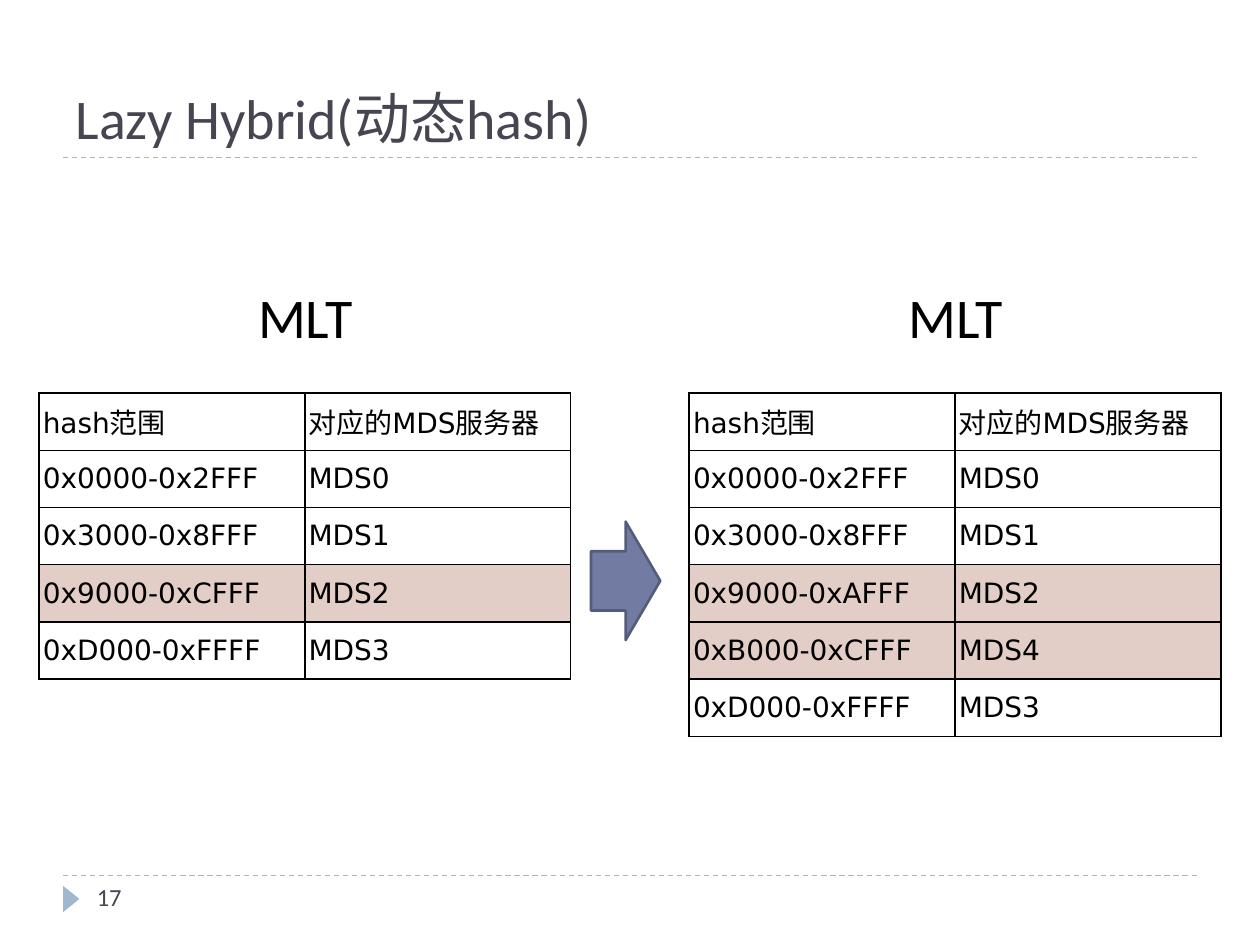
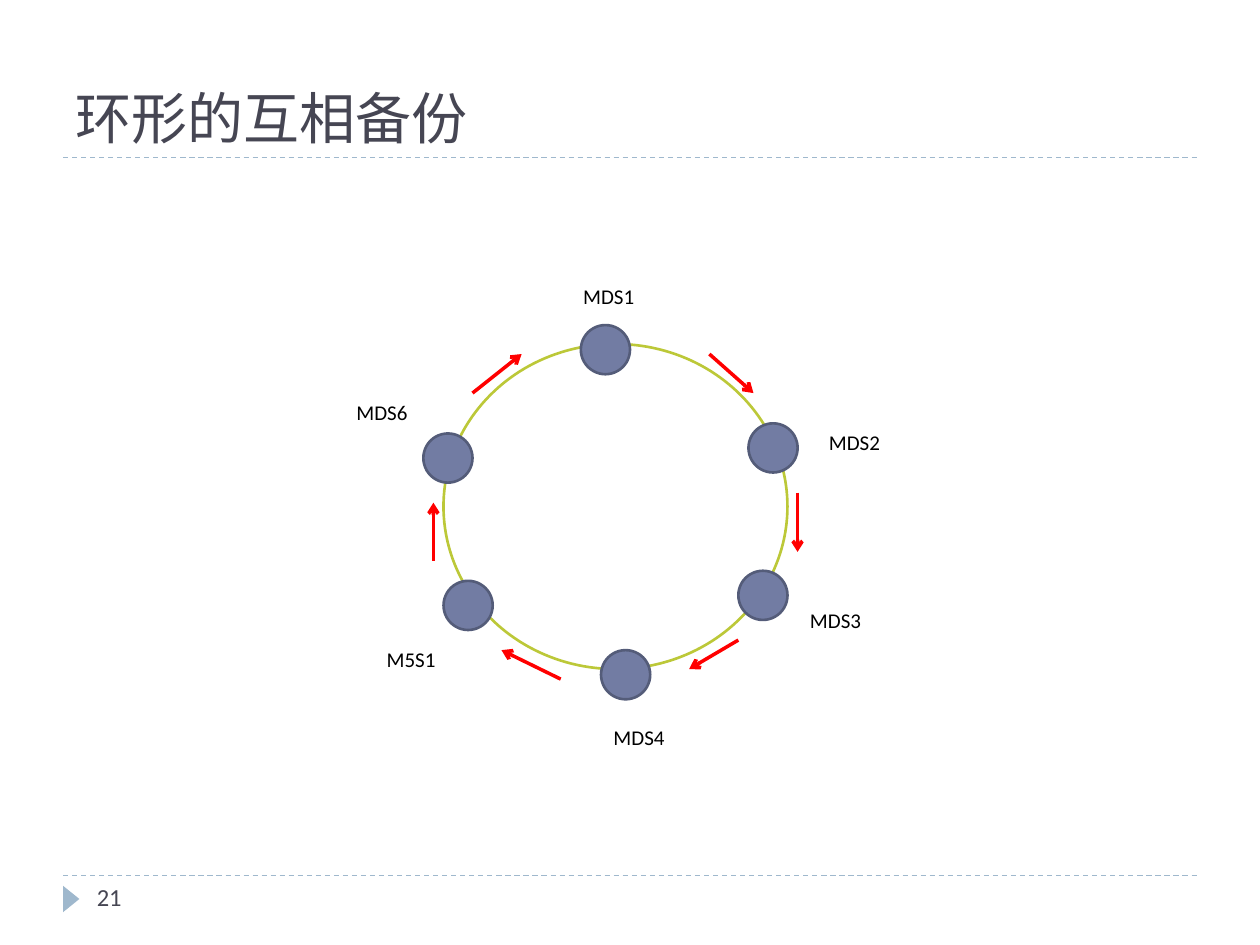
import pptx
import pptx.util
import pptx.dml.color
import pptx.enum.dml
import pptx.enum.shapes
import pptx.enum.text
import pptx.oxml
import pptx.oxml.ns
import lxml.etree

Inches = pptx.util.Inches
Pt = pptx.util.Pt
Shape = pptx.enum.shapes.MSO_SHAPE
Anchor = pptx.enum.text.MSO_ANCHOR
Align = pptx.enum.text.PP_ALIGN

COLORS = {
    "page": "FFFFFF", "ink": "464653", "text": "000000", "rule": "9FB8CD",
    "node": "727CA3", "edge": "545C79", "mark": "E3CEC7",
    "ring": "BCC838", "flow": "FF0000",
}
FONT, MONO = "Calibri", "DejaVu Sans"


def rgb(name):
    """Look up a colour by name."""
    return pptx.dml.color.RGBColor.from_string(COLORS[name])


def style(frame, size, color="text", font=FONT):
    """Format every run of a text frame."""
    for para in frame.paragraphs:
        for run in para.runs:
            run.font.size = Pt(size)
            run.font.name = font
            run.font.color.rgb = rgb(color)


def label(slide, text, box, size, color="text", wrap=True):
    """Put a line of text in a box."""
    frame = slide.shapes.add_textbox(*map(Inches, box)).text_frame
    frame.word_wrap = wrap
    frame.text = text
    style(frame, size, color)


def shape(slide, kind, box, fill=None, line=None):
    """Add a flat preset shape, with or without fill and outline."""
    item = slide.shapes.add_shape(kind, *map(Inches, box))
    item.shadow.inherit = False
    if fill:
        item.fill.solid()
        item.fill.fore_color.rgb = rgb(fill)
    else:
        item.fill.background()
    if line:
        item.line.color.rgb = rgb(line)
        item.line.width = Pt(1.5)
    else:
        item.line.fill.background()
    return item


def rule(slide, ends, color, width, dash=False, head=False):
    """Draw a straight line, dashed or with an arrowhead if asked."""
    kind = pptx.enum.shapes.MSO_CONNECTOR.STRAIGHT
    item = slide.shapes.add_connector(kind, *map(Inches, ends))
    item.line.color.rgb = rgb(color)
    item.line.width = Pt(width)
    if dash:
        item.line.dash_style = pptx.enum.dml.MSO_LINE.DASH
    if head:
        tail = lxml.etree.SubElement(item.line._get_or_add_ln(),
                                     pptx.oxml.ns.qn("a:tailEnd"))
        tail.set("type", "arrow")
    lxml.etree.SubElement(item._element.spPr, pptx.oxml.ns.qn("a:effectLst"))


def page(deck, title, number):
    """Start a slide with its title, dashed rules and page number."""
    slide = deck.slides.add_slide(deck.slide_layouts[5])
    slide.background.fill.solid()
    slide.background.fill.fore_color.rgb = rgb("page")
    for y in (6.95, 1.25):
        rule(slide, (0.5, y, 9.5, y), "rule", 0.75, dash=True)
    shape(slide, Shape.ISOSCELES_TRIANGLE, (0.46, 7.07, 0.21, 0.13),
          "rule").rotation = 90
    head = slide.shapes.title
    head.left, head.top, head.width, head.height = map(
        Inches, (0.5, 0.17, 9, 1.08))
    frame = head.text_frame
    frame.text = title
    frame.word_wrap = True
    frame.auto_size = pptx.enum.text.MSO_AUTO_SIZE.NONE
    frame.vertical_anchor = Anchor.BOTTOM
    frame.paragraphs[0].alignment = Align.LEFT
    style(frame, 32, "ink")
    label(slide, str(number), (0.67, 6.95, 2.17, 0.4), 14, "ink")
    return slide


def border(cell):
    """Give a cell a thin black border on all four sides."""
    props = cell._tc.get_or_add_tcPr()
    for spot, side in enumerate(("lnL", "lnR", "lnT", "lnB")):
        props.insert(spot, pptx.oxml.parse_xml(
            f'<a:{side} {pptx.oxml.ns.nsdecls("a")} w="12700"><a:solidFill>'
            f'<a:srgbClr val="{COLORS["text"]}"/></a:solidFill></a:{side}>'))


def lookup(slide, x, y, rows, marked):
    """Draw an MLT table under its caption, tinting the marked rows."""
    wide, high = 2.11, 0.454
    label(slide, "MLT", (x + 1.64, y - 0.93, 1.48, 0.64), 32)
    rows = [("hash范围", "对应的MDS服务器")] + rows
    grid = slide.shapes.add_table(
        len(rows), 2, Inches(x), Inches(y),
        Inches(2 * wide), Inches(high * len(rows))).table
    grid.first_row = grid.horz_banding = False
    for col in grid.columns:
        col.width = Inches(wide)
    for r, row in enumerate(rows):
        grid.rows[r].height = Inches(high)
        for c, text in enumerate(row):
            cell = grid.cell(r, c)
            cell.text = text
            cell.vertical_anchor = Anchor.MIDDLE
            cell.margin_left = cell.margin_right = Inches(0.03)
            cell.margin_top = cell.margin_bottom = Inches(0.03)
            style(cell.text_frame, 16, font=MONO)
            if r in marked:
                cell.fill.solid()
                cell.fill.fore_color.rgb = rgb("mark")
            else:
                cell.fill.background()
            border(cell)


def ring(slide, x, y, wide, high, nodes):
    """Draw a ring of servers with labels and the arrows between them."""
    shape(slide, Shape.OVAL, (x, y, wide, high), line="ring")
    for name, (nx, ny), (tx, ty), (ax, ay, bx, by) in nodes:
        shape(slide, Shape.OVAL, (x + nx, y + ny, 0.39, 0.39), "node", "edge")
        rule(slide, (x + ax, y + ay, x + bx, y + by), "flow", 2, head=True)
        label(slide, name, (x + tx, y + ty, 0.61, 0.3), 12, wrap=False)


FIRST = [("0x0000-0x2FFF", "MDS0"), ("0x3000-0x8FFF", "MDS1")]
LAST = [("0xD000-0xFFFF", "MDS3")]
BEFORE = FIRST + [("0x9000-0xCFFF", "MDS2")] + LAST
AFTER = FIRST + [("0x9000-0xAFFF", "MDS2"), ("0xB000-0xCFFF", "MDS4")] + LAST

# Name, node, label and outgoing arrow, measured from the ring's corner
NODES = [
    ("MDS1", (1.09, -0.15), (1.01, -0.53), (2.11, 0.08, 2.46, 0.39)),
    ("MDS2", (2.42, 0.63), (2.96, 0.63), (2.81, 1.18, 2.81, 1.65)),
    ("MDS3", (2.34, 1.8), (2.81, 2.04), (2.34, 2.35, 1.95, 2.58)),
    ("MDS4", (1.25, 2.43), (1.25, 2.97), (0.93, 2.66, 0.46, 2.43)),
    ("M5S1", (0, 1.88), (-0.55, 2.35), (-0.08, 1.72, -0.08, 1.26)),
    ("MDS6", (-0.16, 0.71), (-0.79, 0.39), (0.23, 0.39, 0.62, 0.08)),
]

deck = pptx.Presentation()
deck.slide_width, deck.slide_height = Inches(10), Inches(7.5)

slide = page(deck, "Lazy Hybrid(动态hash)", 17)
lookup(slide, 0.31, 3.12, BEFORE, {3})
lookup(slide, 5.47, 3.12, AFTER, {3, 4})
shape(slide, Shape.RIGHT_ARROW, (4.69, 4.14, 0.55, 0.94), "node", "edge")

slide = page(deck, "环形的互相备份", 21)
ring(slide, 3.52, 2.73, 2.73, 2.58, NODES)

deck.save("out.pptx")
